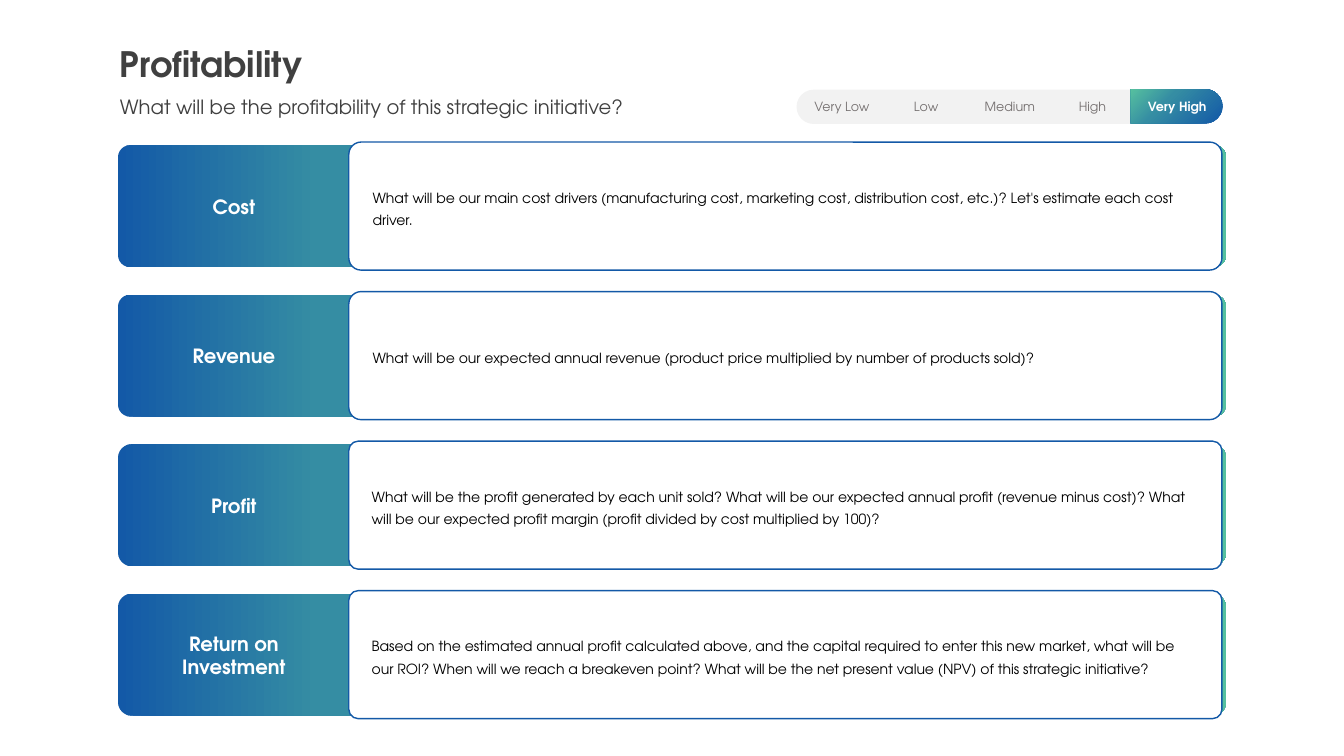
"""Build the profitability slide with four question cards and a rating scale."""
from copy import deepcopy
from pptx import Presentation
from pptx.dml.color import RGBColor
from pptx.enum.shapes import MSO_SHAPE
from pptx.enum.text import MSO_ANCHOR, MSO_AUTO_SIZE, PP_ALIGN
from pptx.util import Inches, Pt

ROUND = MSO_SHAPE.ROUNDED_RECTANGLE
TAB = MSO_SHAPE.ROUND_2_SAME_RECTANGLE
TOP, MIDDLE = MSO_ANCHOR.TOP, MSO_ANCHOR.MIDDLE
LEFT, CENTER = PP_ALIGN.LEFT, PP_ALIGN.CENTER
FIXED = MSO_AUTO_SIZE.NONE
FONT = "TeX Gyre Adventor"
COLORS = {
    "blue": "1359A7", "teal": "358DA3", "green": "56C09F",
    "white": "FFFFFF", "black": "000000", "dark": "404040",
    "gray": "767171", "pale": "F2F2F2",
}
RGB = {name: RGBColor.from_string(code) for name, code in COLORS.items()}


def write(text, shape, size=10, color="black", bold=False, align=LEFT,
          anchor=TOP, wrap=True, lead=None, inset=0.1):
    frame = shape.text_frame
    frame.text = text
    frame.word_wrap = wrap
    frame.auto_size = FIXED
    frame.vertical_anchor = anchor
    frame.margin_left = frame.margin_right = Inches(inset)
    frame.margin_top = frame.margin_bottom = Inches(0.05)
    line = frame.paragraphs[0]
    line.alignment = align
    if lead:
        line.line_spacing = Pt(lead)
    font = line.runs[0].font
    font.name, font.size, font.bold = FONT, Pt(size), bold
    font.color.rgb = RGB[color]


def blend(shape, middle, angle):
    shape.shadow.inherit = False
    shape.line.fill.background()
    fill = shape.fill
    fill.gradient()
    fill.gradient_angle = angle
    first = shape._element.spPr.xpath(".//a:gs")[0]
    first.addnext(deepcopy(first))
    stops = zip(fill.gradient_stops, (0, middle, 1), ("blue", "teal", "green"))
    for stop, place, color in stops:
        stop.position = place
        stop.color.rgb = RGB[color]


deck = Presentation()
deck.slide_width, deck.slide_height = Inches(13.33), Inches(7.5)
slide = deck.slides.add_slide(deck.slide_layouts[5])
shapes = slide.shapes

title = shapes.title
title.left, title.top = Inches(1.09), Inches(0.37)
title.width, title.height = Inches(2.05), Inches(0.52)
write("Profitability", title, size=25, color="dark", bold=True, wrap=False)

lead_in = shapes.add_textbox(Inches(1.09), Inches(0.89), Inches(5.25), Inches(0.34))
write("What will be the profitability of this strategic initiative?", lead_in,
      size=14, color="dark", wrap=False)

CARDS = [
    ("Cost", 0.33, 0.099, 0.096,
     "What will be our main cost drivers (manufacturing cost, marketing cost, "
     "distribution cost, etc.)? Let's estimate each cost driver."),
    ("Revenue", 0.33, 0.099, 0.096,
     "What will be our expected annual revenue (product price multiplied by "
     "number of products sold)?"),
    ("Profit", 0.33, 0.111, 0.073,
     "What will be the profit generated by each unit sold? What will be our "
     "expected annual profit (revenue minus cost)? What will be our expected "
     "profit margin (profit divided by cost multiplied by 100)?"),
    ("Return on Investment", 0.55, 0.111, 0.073,
     "Based on the estimated annual profit calculated above, and the capital "
     "required to enter this new market, what will be our ROI? When will we "
     "reach a breakeven point? What will be the net present value (NPV) of "
     "this strategic initiative?"),
]
STEP = 4.45 / 3
for row, (name, high, curve, bend, ask) in enumerate(CARDS):
    top = 1.41 + row * STEP
    band = shapes.add_shape(ROUND, Inches(1.17), Inches(top + 0.03),
                            Inches(10.99), Inches(1.21))
    band.adjustments[0] = curve
    blend(band, 0.18, 0)

    card = shapes.add_shape(ROUND, Inches(3.46), Inches(top),
                            Inches(8.66), Inches(1.27))
    card.adjustments[0] = bend
    card.shadow.inherit = False
    card.fill.solid()
    card.fill.fore_color.rgb = RGB["white"]
    card.line.color.rgb = RGB["blue"]
    card.line.width = Pt(1)
    write(ask, card, anchor=MIDDLE, lead=16, inset=0.2)

    label = shapes.add_textbox(Inches(1.43), Inches(top + 0.65 - high / 2),
                               Inches(1.78), Inches(high))
    write(name, label, size=14, color="white", bold=True, align=CENTER, lead=16)

scale = shapes.add_shape(ROUND, Inches(7.9), Inches(0.89), Inches(4.22), Inches(0.34))
scale.adjustments[0] = 0.5
scale.shadow.inherit = False
scale.fill.solid()
scale.fill.fore_color.rgb = RGB["pale"]
scale.line.fill.background()

pick = shapes.add_shape(TAB, Inches(11.5), Inches(0.6), Inches(0.34), Inches(0.91))
pick.adjustments[0], pick.adjustments[1] = 0.5, 0
pick.rotation = 90
blend(pick, 0.62, 225)

RATES = [("Very Low", 7.97, 0.76), ("Low", 8.96, 0.45), ("Medium", 9.66, 0.71),
         ("High", 10.6, 0.47), ("Very High", 11.28, 0.79)]
for rate, left, width in RATES:
    chosen = rate == "Very High"
    box = shapes.add_textbox(Inches(left), Inches(0.93), Inches(width), Inches(0.25))
    write(rate, box, size=9, color="white" if chosen else "gray",
          bold=chosen, align=CENTER, wrap=False)

deck.save("out.pptx")
